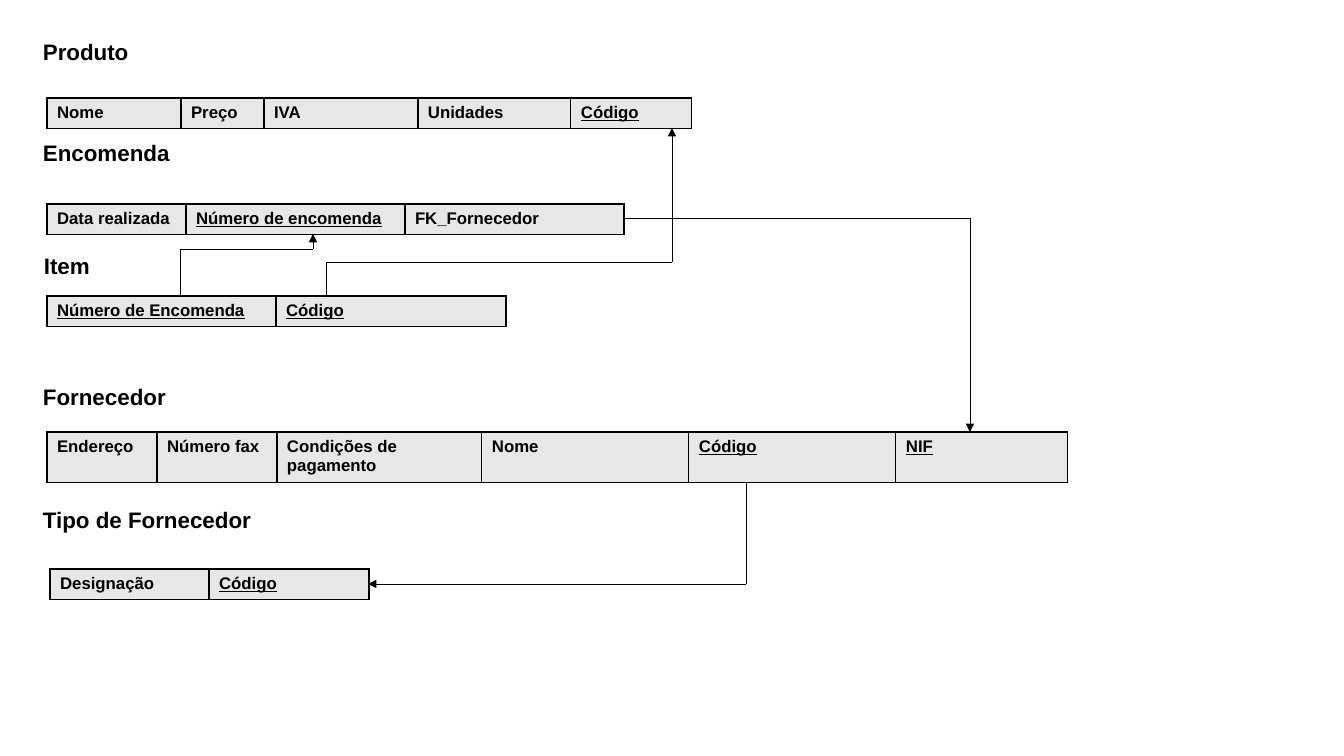
"""Relational schema slide: five tables, with arrows for the foreign keys."""
from itertools import pairwise

from lxml.etree import SubElement
from pptx import Presentation
from pptx.dml.color import RGBColor
from pptx.enum.shapes import MSO_CONNECTOR
from pptx.oxml import parse_xml
from pptx.oxml.ns import nsdecls, qn
from pptx.util import Pt

SCALE = 914400 / 100.8
BLACK, GREY = "000000", "E7E7E7"
ROW_HEIGHT = 30


def pixels(*values):
    return [round(value * SCALE) for value in values]


def paint(target, colour):
    target.solid()
    target.fore_color.rgb = RGBColor.from_string(colour)


deck = Presentation()
deck.slide_width, deck.slide_height = pixels(1344, 756)
page = deck.slides.add_slide(deck.slide_layouts[6])

# name, heading (left, top, width), table top, row height, column edges, fields, keys
relations = [
    ("Produto", (33, 33, 112), 98, ROW_HEIGHT, [47, 181, 264, 418, 571, 692],
     ["Nome", "Preço", "IVA", "Unidades", "Código"], {"Código"}),
    ("Encomenda", (33, 134, 164), 204, ROW_HEIGHT, [47, 186, 405, 624],
     ["Data realizada", "Número de encomenda", "FK_Fornecedor"], {"Número de encomenda"}),
    ("Item", (34, 247, 137), 296, ROW_HEIGHT, [47, 276, 506],
     ["Número de Encomenda", "Código"], {"Número de Encomenda", "Código"}),
    ("Fornecedor", (33, 378, 164), 432, 50, [47, 157, 277, 482, 689, 896, 1068],
     ["Endereço", "Número fax", "Condições de pagamento", "Nome", "Código", "NIF"],
     {"Código", "NIF"}),
    ("Tipo de Fornecedor", (33, 501, 301), 569, ROW_HEIGHT, [50, 209, 369],
     ["Designação", "Código"], {"Código"}),
]

for name, (left, top, width), table_top, height, edges, fields, keys in relations:
    box = page.shapes.add_textbox(*pixels(left, top, width, 37))
    box.text_frame.word_wrap = True
    box.text_frame.text = name
    texts = [(box.text_frame, 16, False)]

    frame = page.shapes.add_table(
        1, len(fields), *pixels(edges[0], table_top, edges[-1] - edges[0], height))
    table = frame.table
    table.first_row = table.horz_banding = False
    table.rows[0].height = pixels(height)[0]
    for index, (start, end) in enumerate(pairwise(edges)):
        table.columns[index].width = pixels(end - start)[0]
        cell = table.cell(0, index)
        cell.text_frame.text = fields[index]
        paint(cell.fill, GREY)
        properties = cell.fill._xPr
        for position, side in enumerate(["lnL", "lnR", "lnT", "lnB"]):
            properties.insert(position, parse_xml(
                f'<a:{side} {nsdecls("a")} w="12700"><a:solidFill>'
                f'<a:srgbClr val="{BLACK}"/></a:solidFill></a:{side}>'))
        texts.append((cell.text_frame, 12, fields[index] in keys))

    for text_frame, size, underlined in texts:
        span = text_frame.paragraphs[0].runs[0]
        span.font.name = "Arial"
        span.font.size = Pt(size)
        span.font.bold = True
        span.font.underline = underlined
        paint(span.font.fill, BLACK)

routes = [
    [(180, 296), (180, 249), (313, 249), (313, 234)],
    [(326, 296), (326, 262), (672, 262), (672, 128)],
    [(624, 218), (970, 218), (970, 432)],
    [(746, 483), (746, 584), (368, 584)],
]
for route in routes:
    for start, end in pairwise(route):
        connector = page.shapes.add_connector(
            MSO_CONNECTOR.STRAIGHT, *pixels(*start, *end))
        connector.line.width = Pt(0.5)
        paint(connector.line.fill, BLACK)
        properties = connector.element.spPr
        if end == route[-1]:
            SubElement(properties.find(qn("a:ln")), qn("a:tailEnd"), type="triangle")
        SubElement(properties, qn("a:effectLst"))

deck.save("out.pptx")
